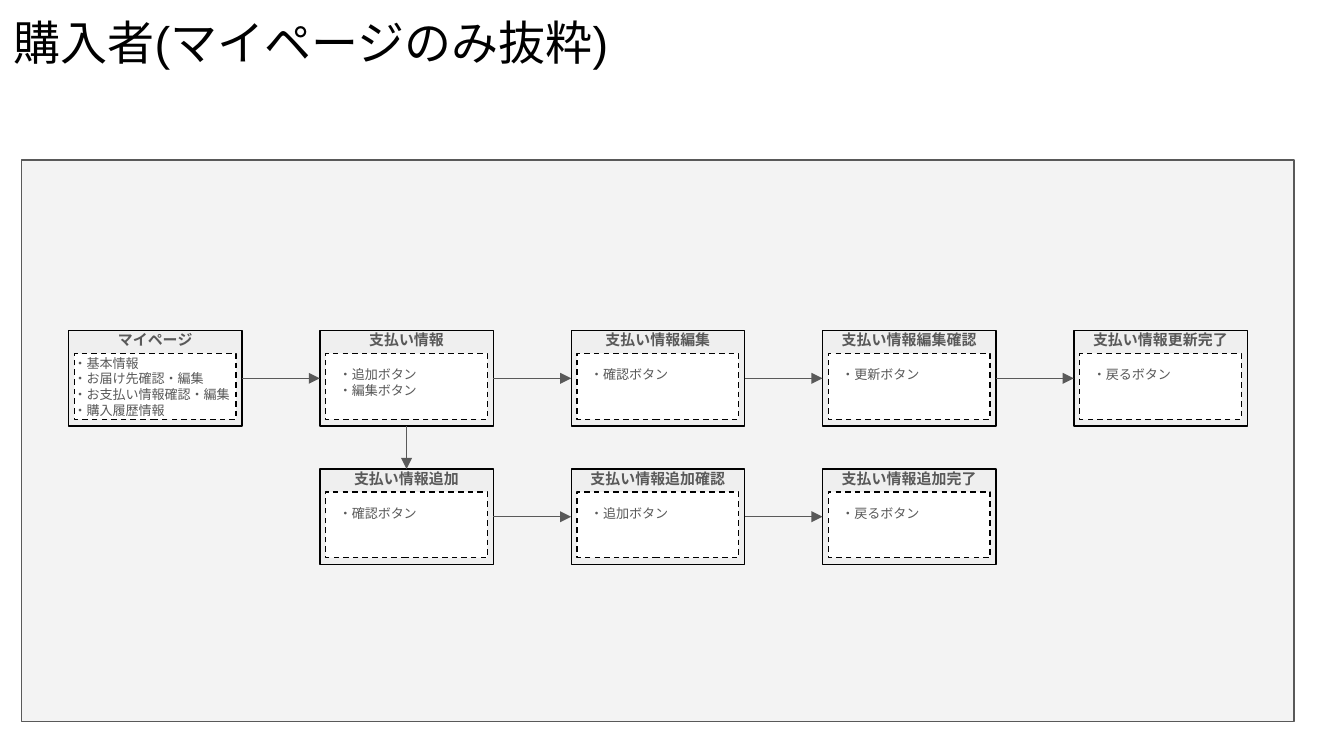
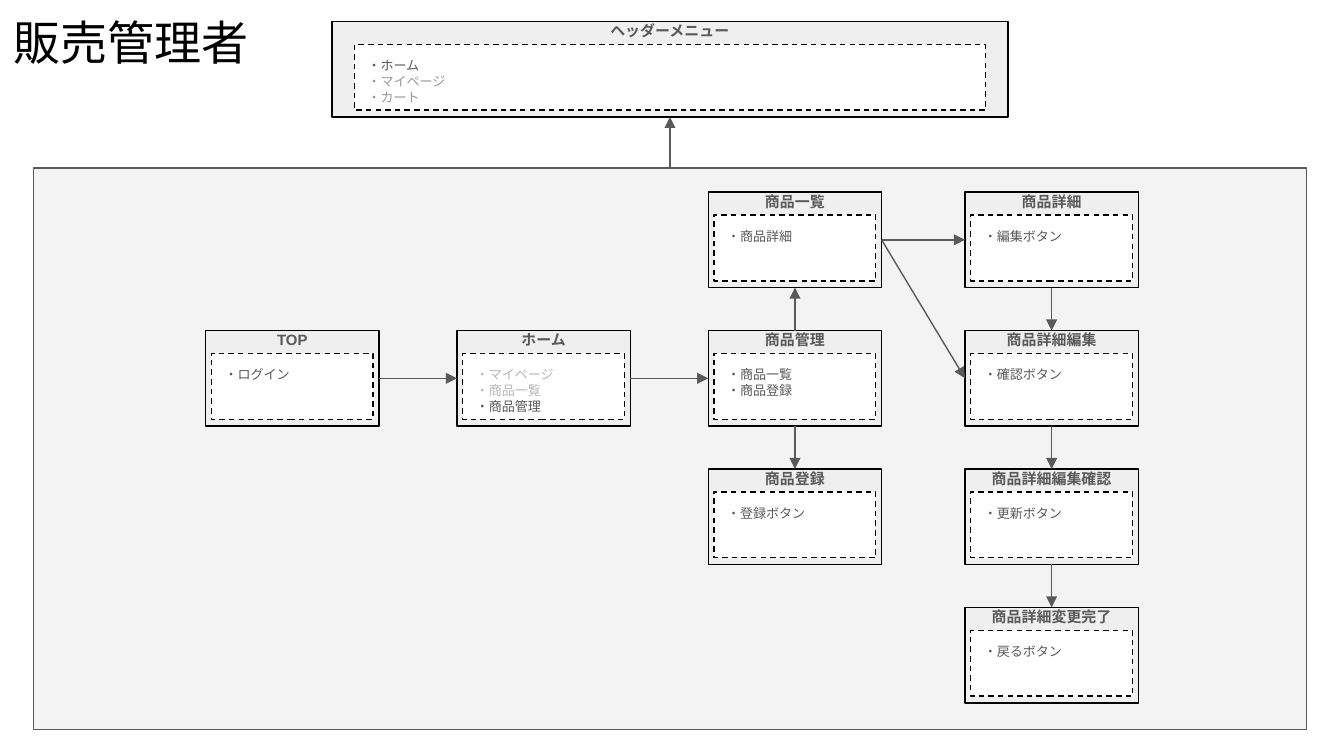
"""Build two screen-flow slides: the buyer's own page and the sales manager."""
import pptx
import pptx.dml.color
import pptx.enum.dml
import pptx.enum.lang
import pptx.enum.shapes
import pptx.enum.text
import pptx.oxml.ns
import pptx.util

Inches = pptx.util.Inches
qn = pptx.oxml.ns.qn
ANCHOR = pptx.enum.text.MSO_ANCHOR
ALIGN = pptx.enum.text.PP_ALIGN

FONT = "Arial"
INK, GREY, WHITE = "000000", "595959", "FFFFFF"
PANEL_FILL, CARD_FILL = "F3F3F3", "EFEFEF"
PALE, FADED = "B7B7B7", "999999"

PANEL_SIZE = (9.47, 4.18)
CARD_WIDTH, CARD_HEIGHT = 1.29, 0.71
HEADING_HEIGHT = 0.14
LIST_TOP, LIST_HEIGHT = 0.17, 0.49
FIRST_ROW, ROW_STEP = 1.43, 1.03
TOP, LEFT, BOTTOM, RIGHT = range(4)

FLOWS = [
    {
        "title": "購入者(マイページのみ抜粋)",
        "panel": (0.16, 1.19),
        "columns": (0.51, 2.38, 4.25, 6.12, 7.99),
        "menu": None,
        "cards": [
            ("マイページ", 0, 1, ["・基本情報", "・お届け先確認・編集",
                             "・お支払い情報確認・編集", "・購入履歴情報"]),
            ("支払い情報", 1, 1, ["・追加ボタン", "・編集ボタン"]),
            ("支払い情報編集", 2, 1, ["・確認ボタン"]),
            ("支払い情報編集確認", 3, 1, ["・更新ボタン"]),
            ("支払い情報更新完了", 4, 1, ["・戻るボタン"]),
            ("支払い情報追加", 1, 2, ["・確認ボタン"]),
            ("支払い情報追加確認", 2, 2, ["・追加ボタン"]),
            ("支払い情報追加完了", 3, 2, ["・戻るボタン"]),
        ],
        "arrows": [
            ("マイページ", RIGHT, "支払い情報", LEFT),
            ("支払い情報", RIGHT, "支払い情報編集", LEFT),
            ("支払い情報編集", RIGHT, "支払い情報編集確認", LEFT),
            ("支払い情報編集確認", RIGHT, "支払い情報更新完了", LEFT),
            ("支払い情報", BOTTOM, "支払い情報追加", TOP),
            ("支払い情報追加", RIGHT, "支払い情報追加確認", LEFT),
            ("支払い情報追加確認", RIGHT, "支払い情報追加完了", LEFT),
        ],
    },
    {
        "title": "販売管理者",
        "panel": (0.25, 1.25),
        "columns": (1.53, 3.4, 5.27, 7.18),
        "menu": ("ヘッダーメニュー", 2.47, 0.16, 5.03,
                 ["・ホーム", ("・マイページ", FADED), ("・カート", FADED)]),
        "cards": [
            ("TOP", 0, 1, ["・ログイン"]),
            ("ホーム", 1, 1, [("・マイページ", PALE), ("・商品一覧", PALE), "・商品管理"]),
            ("商品管理", 2, 1, ["・商品一覧", "・商品登録"]),
            ("商品一覧", 2, 0, ["・商品詳細"]),
            ("商品登録", 2, 2, ["・登録ボタン"]),
            ("商品詳細", 3, 0, ["・編集ボタン"]),
            ("商品詳細編集", 3, 1, ["・確認ボタン"]),
            ("商品詳細編集確認", 3, 2, ["・更新ボタン"]),
            ("商品詳細変更完了", 3, 3, ["・戻るボタン"]),
        ],
        "arrows": [
            ("TOP", RIGHT, "ホーム", LEFT),
            ("ホーム", RIGHT, "商品管理", LEFT),
            ("商品管理", TOP, "商品一覧", BOTTOM),
            ("商品管理", BOTTOM, "商品登録", TOP),
            ("商品一覧", RIGHT, "商品詳細", LEFT),
            ("商品一覧", RIGHT, "商品詳細編集", LEFT),
            ("商品詳細", BOTTOM, "商品詳細編集", TOP),
            ("商品詳細編集", BOTTOM, "商品詳細編集確認", TOP),
            ("商品詳細編集確認", BOTTOM, "商品詳細変更完了", TOP),
            ("panel", TOP, "ヘッダーメニュー", BOTTOM),
        ],
    },
]


def paint(color_format, color):
    color_format.rgb = pptx.dml.color.RGBColor.from_string(color)


def add_child(parent, tag, **attributes):
    parent.append(parent.makeelement(qn(tag), attributes))


def set_text(box, lines, size, bold=False, align=ALIGN.LEFT, anchor=ANCHOR.TOP):
    """Write (text, colour) lines into a box with even margins."""
    frame = box.text_frame
    frame.text = "\n".join(text for text, color in lines)
    frame.word_wrap = True
    frame.auto_size = pptx.enum.text.MSO_AUTO_SIZE.NONE
    frame.vertical_anchor = anchor
    frame.margin_left = frame.margin_right = Inches(0.1)
    frame.margin_top = frame.margin_bottom = Inches(0.1)
    for para, (text, color) in zip(frame.paragraphs, lines):
        para.alignment = align
        for span in para.runs:
            span.font.size = pptx.util.Pt(size)
            span.font.bold = bold
            span.font.name = FONT
            span.font.language_id = pptx.enum.lang.MSO_LANGUAGE_ID.JAPANESE
            paint(span.font.color, color)
            for tag in ("a:ea", "a:cs"):
                add_child(span._r.get_or_add_rPr(), tag, typeface=FONT)


def add_rectangle(shapes, place, fill, outline=INK, dashed=False):
    rectangle = shapes.add_shape(
        pptx.enum.shapes.MSO_SHAPE.RECTANGLE, *map(Inches, place))
    rectangle.shadow.inherit = False
    rectangle.fill.solid()
    paint(rectangle.fill.fore_color, fill)
    paint(rectangle.line.color, outline)
    rectangle.line.width = pptx.util.Pt(0.75)
    if dashed:
        rectangle.line.dash_style = pptx.enum.dml.MSO_LINE.DASH
    return rectangle


def add_card(page, title, left, top, width, items):
    """Add a grouped screen card and return its outer rectangle."""
    shapes = page.shapes.add_group_shape().shapes
    card = add_rectangle(shapes, (left, top, width, CARD_HEIGHT), CARD_FILL)
    heading = shapes.add_textbox(
        *map(Inches, (left, top, width, HEADING_HEIGHT)))
    set_text(heading, [(title, GREY)], 8, True, ALIGN.CENTER, ANCHOR.MIDDLE)

    inset = width / 30
    place = (left + inset, top + LIST_TOP, width - 2 * inset, LIST_HEIGHT)
    add_rectangle(shapes, place, WHITE, dashed=True)
    anchor = ANCHOR.TOP
    if len(items) > 3:
        place = (left - 0.06, top + LIST_TOP, 1.42, LIST_HEIGHT)
        anchor = ANCHOR.MIDDLE
    lines = [(item, GREY) if isinstance(item, str) else item for item in items]
    set_text(shapes.add_textbox(*map(Inches, place)), lines, 7, anchor=anchor)
    return card


def add_arrow(page, source, source_side, target, target_side):
    arrow = page.shapes.add_connector(
        pptx.enum.shapes.MSO_CONNECTOR.STRAIGHT, 0, 0, 0, 0)
    arrow.begin_connect(source, source_side)
    arrow.end_connect(target, target_side)
    paint(arrow.line.color, GREY)
    arrow.line.width = pptx.util.Pt(0.75)
    properties = arrow.element.spPr
    add_child(properties.find(qn("a:ln")), "a:tailEnd", type="triangle")
    add_child(properties, "a:effectLst")


def add_flow(deck, flow):
    page = deck.slides.add_slide(deck.slide_layouts[5])
    title = page.shapes.title
    title.left, title.top, title.width, title.height = map(
        Inches, (0, 0, 9.32, 0.63))
    set_text(title, [(flow["title"], INK)], 25.2)

    boxes = {"panel": add_rectangle(
        page.shapes, flow["panel"] + PANEL_SIZE, PANEL_FILL, GREY)}
    for name, column, row, items in flow["cards"]:
        left, top = flow["columns"][column], FIRST_ROW + row * ROW_STEP
        boxes[name] = add_card(page, name, left, top, CARD_WIDTH, items)
    if flow["menu"]:
        boxes[flow["menu"][0]] = add_card(page, *flow["menu"])
    for source, source_side, target, target_side in flow["arrows"]:
        add_arrow(page, boxes[source], source_side, boxes[target], target_side)


def main():
    deck = pptx.Presentation()
    deck.slide_width = Inches(10)
    deck.slide_height = deck.slide_width * 9 // 16
    for flow in FLOWS:
        add_flow(deck, flow)
    deck.save("out.pptx")


if __name__ == "__main__":
    main()
